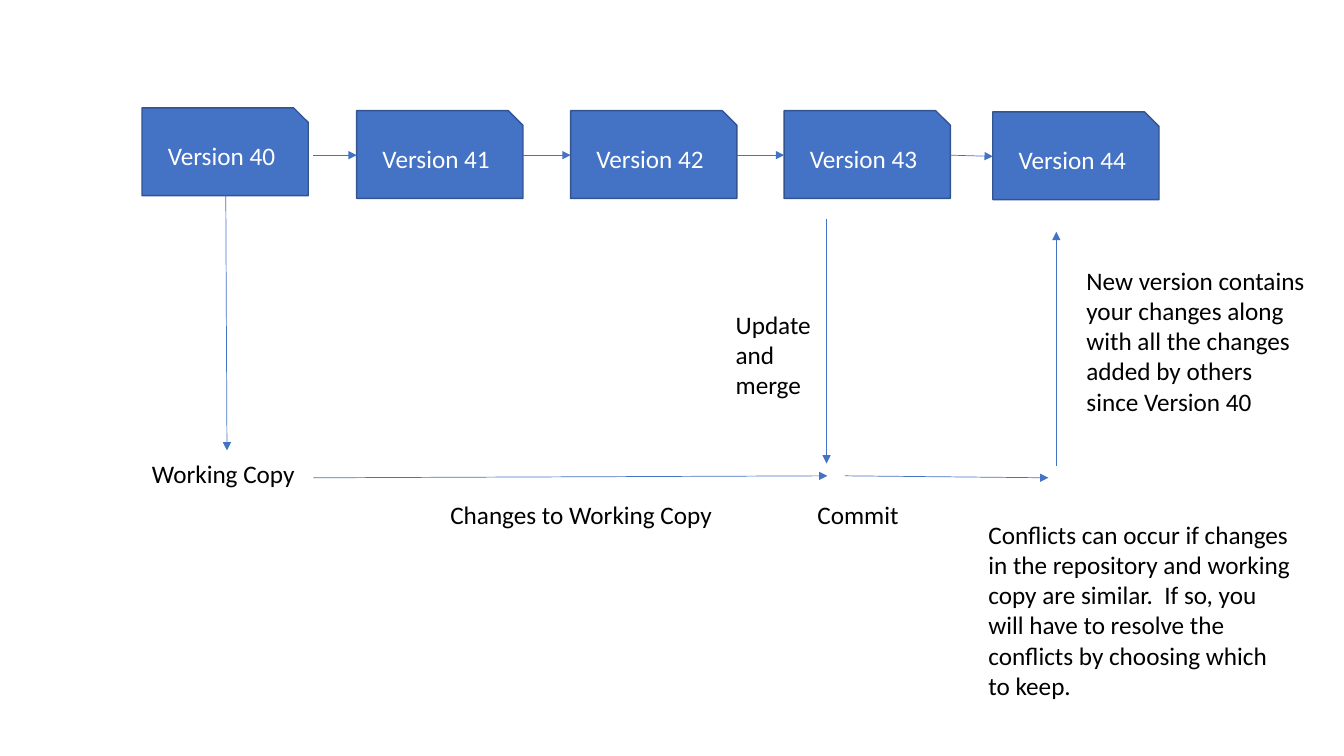
from lxml import etree
from pptx import Presentation
from pptx.dml.color import RGBColor
from pptx.enum.shapes import MSO_CONNECTOR, MSO_SHAPE
from pptx.enum.text import MSO_ANCHOR, MSO_AUTO_SIZE, PP_ALIGN
from pptx.oxml.ns import qn
from pptx.util import Cm, Pt

SNIP = MSO_SHAPE.SNIP_1_RECTANGLE
STRAIGHT = MSO_CONNECTOR.STRAIGHT
MIDDLE = MSO_ANCHOR.MIDDLE
CENTER = PP_ALIGN.CENTER
FIT = MSO_AUTO_SIZE.SHAPE_TO_FIT_TEXT

BOX_W, BOX_H = 4.19, 2.21


def rgb(value):
    return RGBColor.from_string(value)


class Diagram:
    font, size = "Calibri", 18
    blue, edge, white, black = "4472C4", "325491", "FFFFFF", "000000"

    def __init__(self, slide):
        self.s = slide

    def set_text(self, tf, text, color, align=None):
        tf.text = text
        for p in tf.paragraphs:
            p.alignment = align
            p.font.name = self.font
            p.font.size = Pt(self.size)
            p.font.color.rgb = rgb(color)

    def version(self, x, y, text):
        sp = self.s.shapes.add_shape(SNIP, Cm(x), Cm(y), Cm(BOX_W), Cm(BOX_H))
        sp.shadow.inherit = False
        sp.fill.solid()
        sp.fill.fore_color.rgb = rgb(self.blue)
        sp.line.color.rgb = rgb(self.edge)
        sp.line.width = Pt(1)
        sp.text_frame.vertical_anchor = MIDDLE
        self.set_text(sp.text_frame, text, self.white, CENTER)

    def label(self, x, y, w, h, text):
        sp = self.s.shapes.add_textbox(Cm(x), Cm(y), Cm(w), Cm(h))
        tf = sp.text_frame
        tf.word_wrap = False
        tf.auto_size = FIT
        self.set_text(tf, text, self.black)

    def arrow(self, x1, y1, x2, y2):
        sp = self.s.shapes.add_connector(STRAIGHT, Cm(x1), Cm(y1), Cm(x2), Cm(y2))
        sp.line.color.rgb = rgb(self.blue)
        sp.line.width = Pt(0.5)
        props = sp.element.spPr
        etree.SubElement(props.find(qn("a:ln")), qn("a:tailEnd"), type="triangle")
        etree.SubElement(props, qn("a:effectLst"))


def main():
    prs = Presentation()
    prs.slide_width, prs.slide_height = Cm(33.87), Cm(19.05)
    d = Diagram(prs.slides.add_slide(prs.slide_layouts[6]))

    # Repository versions
    boxes = [(3.58, 2.72), (8.99, 2.79), (14.38, 2.79), (19.76, 2.79), (25.02, 2.82)]
    for number, (x, y) in enumerate(boxes, 40):
        d.version(x, y, f"Version {number}")

    # Arrows between versions
    d.arrow(7.9, 3.91, 8.99, 3.91)
    for (x, _), (next_x, _) in zip(boxes[1:3], boxes[2:4]):
        d.arrow(x + BOX_W, 3.91, next_x, 3.91)
    d.arrow(23.95, 3.91, 25.02, 3.94)

    # Checkout, edit, update, commit
    d.arrow(5.69, 4.93, 5.72, 11.35)
    d.arrow(7.9, 12.04, 20.85, 11.99)
    d.arrow(20.83, 5.51, 20.83, 11.68)
    d.arrow(21.29, 11.99, 26.42, 12.04)
    d.arrow(26.62, 11.73, 26.62, 5.84)

    # Labels: \n starts a paragraph, \v breaks a line
    d.label(3.58, 11.43, 4.14, 1.02, "Working Copy")
    d.label(11.1, 12.45, 7.19, 1.02, "Changes to Working Copy")
    d.label(18.29, 7.67, 2.57, 2.57, "Update\nand\nmerge")
    d.label(20.35, 12.45, 2.59, 1.02, "Commit")
    d.label(27.13, 6.55, 6.07, 4.11,
            "New version contains\vyour changes along\vwith all the changes\v"
            "added by others \vsince Version 40")
    d.label(24.66, 12.95, 8.2, 4.88,
            "Conflicts can occur if changes\vin the repository and working\v"
            "copy are similar.  If so, you\vwill have to resolve the \v"
            "conflicts by choosing which\nto keep.")

    prs.save("out.pptx")


if __name__ == "__main__":
    main()
